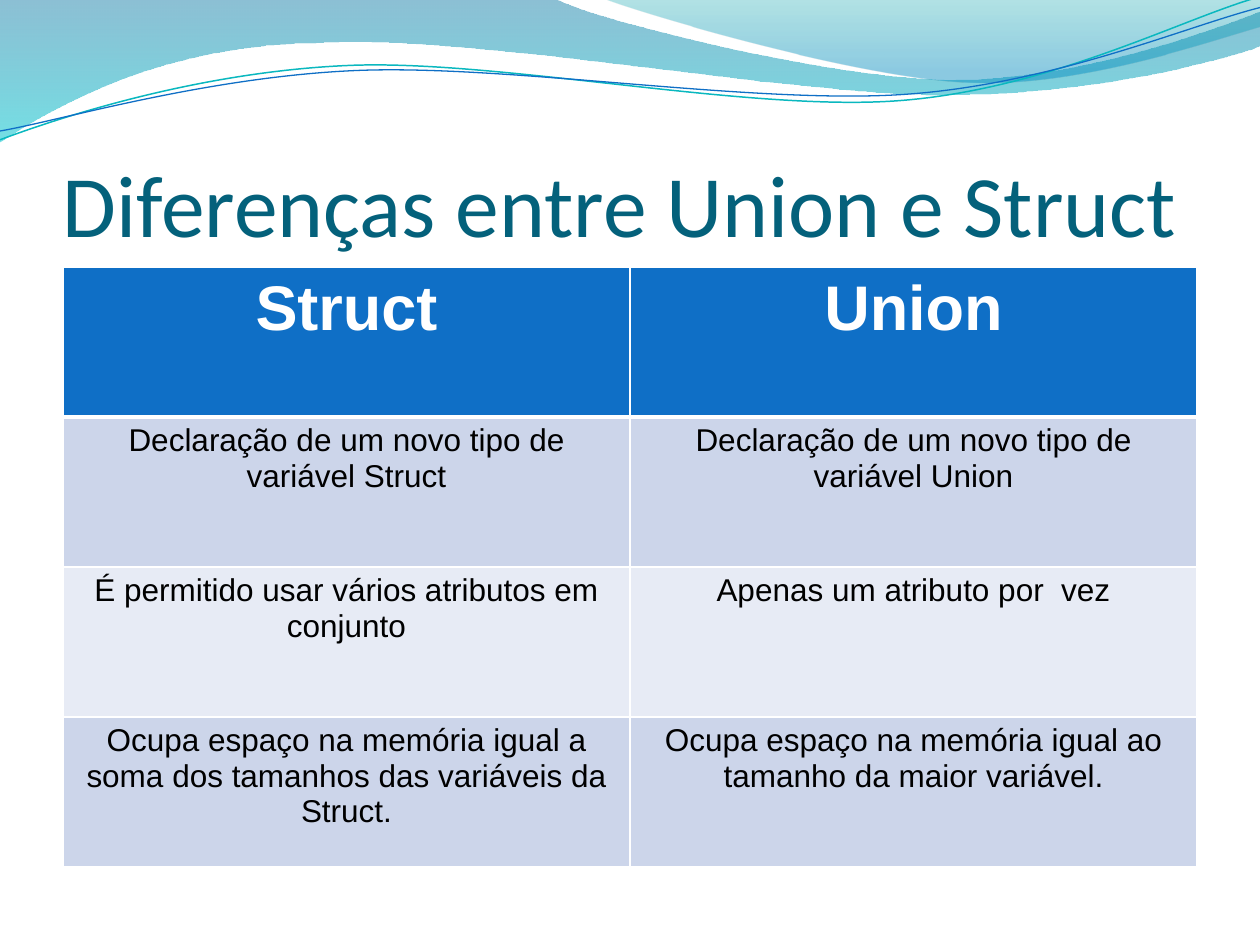
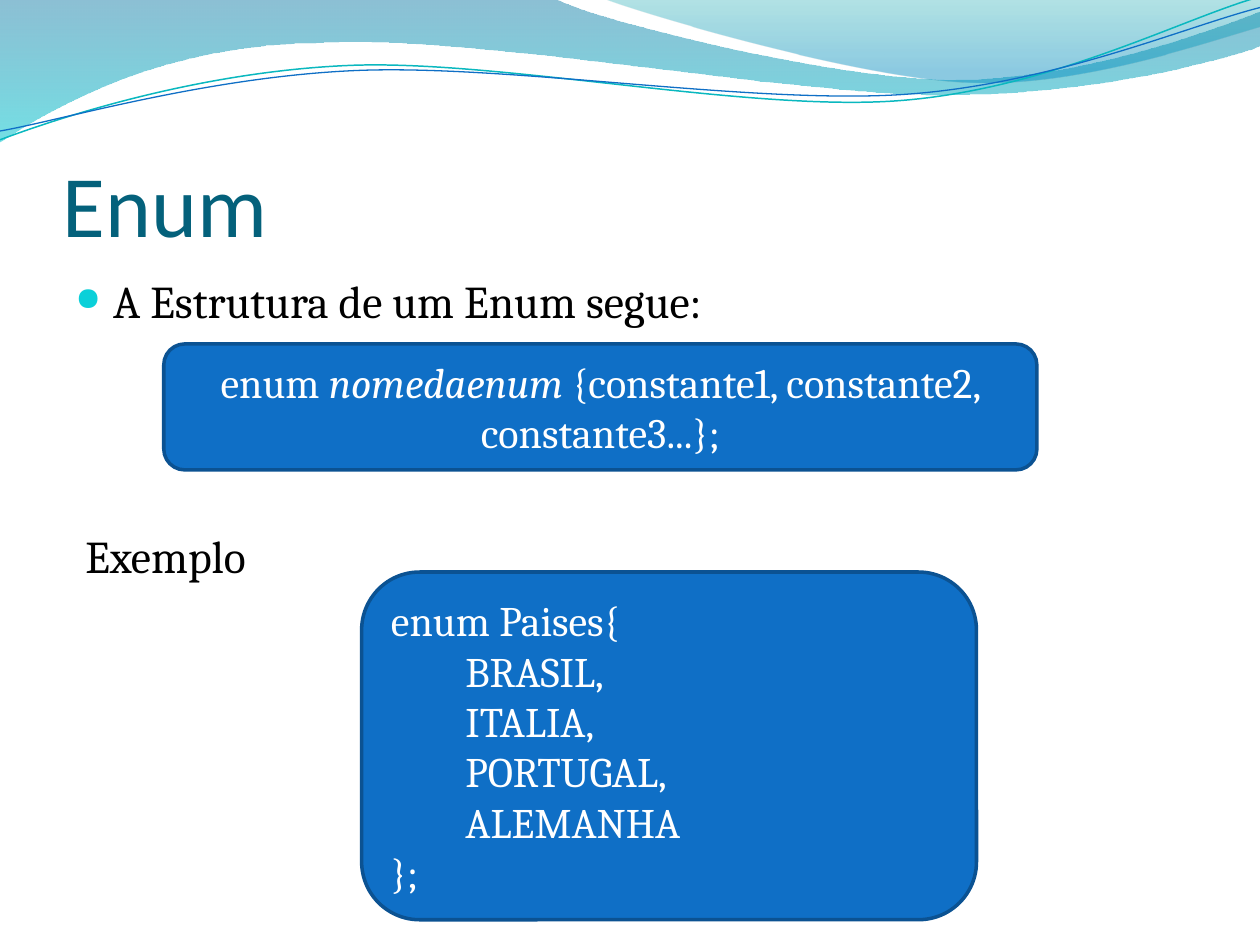
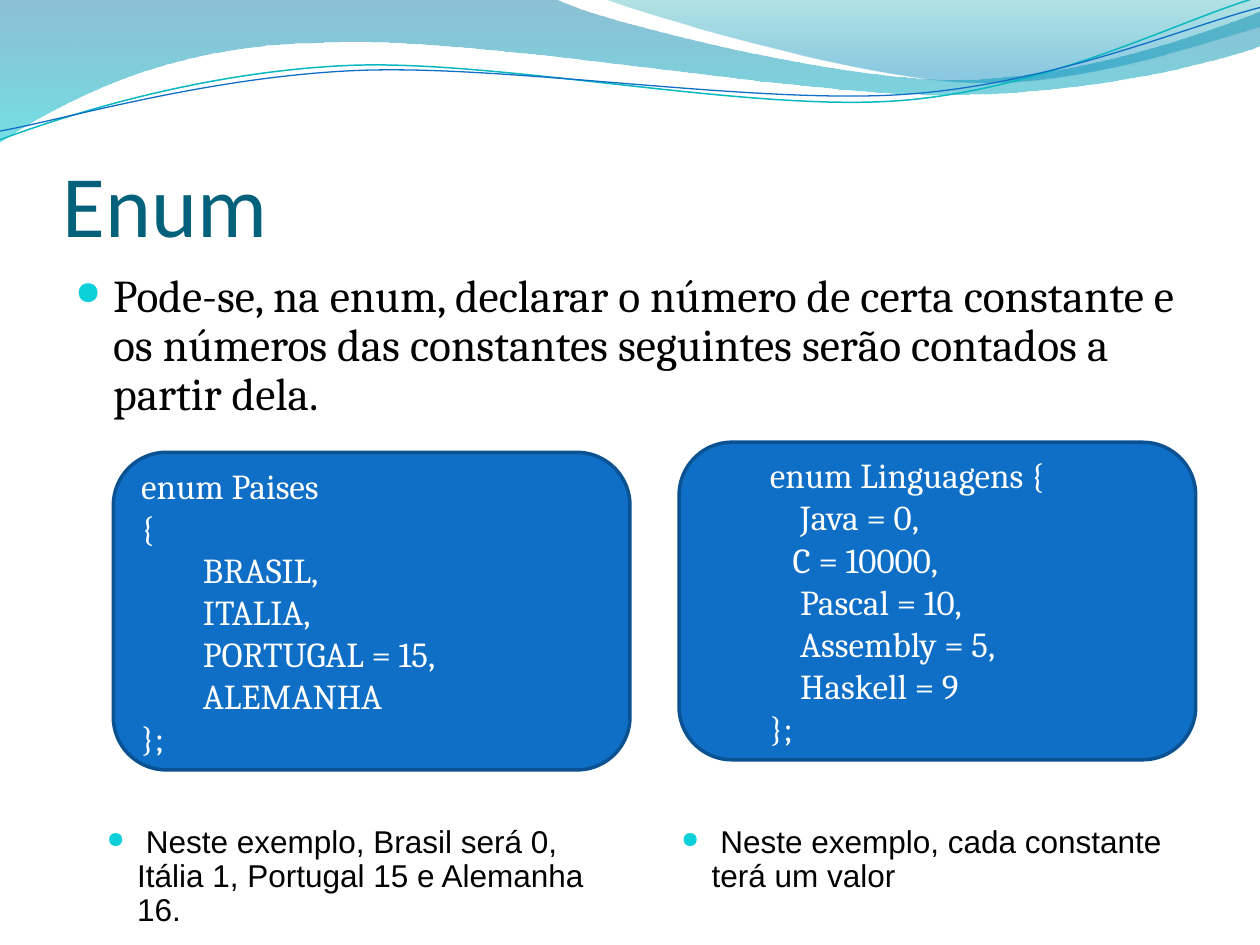
from lxml import etree
from pptx import Presentation
from pptx.dml.color import RGBColor
from pptx.enum.shapes import MSO_SHAPE
from pptx.enum.text import MSO_ANCHOR, PP_ALIGN
from pptx.oxml.ns import qn
from pptx.util import Inches, Pt

ROUNDED = MSO_SHAPE.ROUNDED_RECTANGLE
LEFT, CENTER = PP_ALIGN.LEFT, PP_ALIGN.CENTER
TOP, MIDDLE, BOTTOM = MSO_ANCHOR.TOP, MSO_ANCHOR.MIDDLE, MSO_ANCHOR.BOTTOM

# Shared colours and fonts
WHITE = RGBColor(0xFF, 0xFF, 0xFF)
BLACK = RGBColor(0x00, 0x00, 0x00)
BLUE = RGBColor(0x0F, 0x6F, 0xC6)
DARK_BLUE = RGBColor(0x0B, 0x52, 0x92)
TEAL_LINE = RGBColor(0x0A, 0xB8, 0xBF)
TITLE_TEAL = RGBColor(0x04, 0x61, 0x7B)
BULLET_CYAN = RGBColor(0x0B, 0xD0, 0xD9)
BAND_DARK = RGBColor(0xCC, 0xD5, 0xEA)
BAND_LIGHT = RGBColor(0xE7, 0xEB, 0xF5)
WAVE_DEEP = RGBColor(0x00, 0x74, 0xA1)
WAVE_AQUA = RGBColor(0x00, 0xC6, 0xCF)
WAVE_GREEN = RGBColor(0x00, 0xA1, 0xA9)
WAVE_SKY = RGBColor(0x00, 0x8B, 0xBF)
TITLE_FONT, CODE_FONT, PLAIN_FONT = "Calibri", "Cambria", "Arial"

# Wave outlines: a pair is a straight step, six numbers are a cubic curve
LEFT_WAVE = [
    (0, -0.01), (4.4, -0.01), (4.76, 0.17, 6.64, 0.63, 7.58, 0.63),
    (8.53, 0.63, 9.58, 0.26, 10, 0.09), (10.01, 0.36),
    (9.83, 0.44, 8.7, 0.76, 7.46, 0.75), (6.22, 0.75, 3.82, 0.28, 2.57, 0.34),
    (1.29, 0.35, 0.46, 0.83, -0.01, 1.13), (0, -0.01)]
RIGHT_WAVE = [
    (4.79, -0.01), (5.09, 0.11, 6.82, 0.62, 7.69, 0.65),
    (8.56, 0.69, 9.61, 0.32, 10, 0.21), (10, 0), (4.79, -0.01)]
TEAL_CURVE = [
    (0, 1.11), (0.48, 0.93, 1.58, 0.57, 2.77, 0.52),
    (3.95, 0.47, 5.93, 0.89, 7.13, 0.8), (8.33, 0.71, 9.38, 0.15, 9.98, -0.02)]
BLUE_CURVE = [
    (0, 1.04), (0.47, 0.96, 1.64, 0.61, 2.83, 0.56),
    (4.03, 0.51, 5.97, 0.83, 7.17, 0.75), (8.36, 0.67, 9.41, 0.21, 10, 0.06)]


def add_outline(slide, outline, close):
    """Freeform through all points, whose curve steps become cubic segments."""
    start, *points = [(Inches(step[i]), Inches(step[i + 1]))
                      for step in outline for i in range(0, len(step), 2)]
    builder = slide.shapes.build_freeform(*start)
    builder.add_line_segments(points, close=close)
    shape = builder.convert_to_shape()
    shape.shadow.inherit = False
    segments = iter(list(shape._element.spPr.iter(qn("a:lnTo"))))
    for step in outline[1:]:
        first = next(segments)
        if len(step) == 6:
            curve = etree.Element(qn("a:cubicBezTo"))
            first.addprevious(curve)
            for segment in (first, next(segments), next(segments)):
                curve.append(segment[0])
                segment.getparent().remove(segment)
    return shape


def add_wave(slide, outline, stops):
    """Filled wave; stops holds (position, colour, opacity in percent)."""
    wave = add_outline(slide, outline, True)
    wave.line.fill.background()
    wave.fill.gradient()
    wave.fill.gradient_angle = 270
    for stop, (position, color, _) in zip(wave.fill.gradient_stops, stops):
        stop.position = position
        stop.color.rgb = color
    for color_node, (_, _, opacity) in zip(wave._element.spPr.iter(qn("a:srgbClr")), stops):
        etree.SubElement(color_node, qn("a:alpha"), val=str(opacity * 1000))


def add_curve(slide, outline, color, width):
    curve = add_outline(slide, outline, False)
    curve.fill.background()
    curve.line.color.rgb = color
    curve.line.width = Pt(width)


def style_runs(paragraph, font, size, color, bold=False):
    for run in paragraph.runs:
        run.font.name = font
        run.font.size = Pt(size)
        run.font.color.rgb = color
        run.font.bold = bold


def set_indent(paragraph, margin, first=0):
    props = paragraph._p.get_or_add_pPr()
    props.set("marL", str(Inches(margin)))
    props.set("indent", str(Inches(first)))


def add_bullet(paragraph, hanging):
    set_indent(paragraph, hanging, -hanging)
    props = paragraph._p.get_or_add_pPr()
    color = etree.SubElement(props, qn("a:buClr"))
    etree.SubElement(color, qn("a:srgbClr"), val=str(BULLET_CYAN))
    etree.SubElement(props, qn("a:buSzPct"), val="71000")
    etree.SubElement(props, qn("a:buChar"), char="●")


def add_text_box(slide, left, top, width, height, anchor=TOP):
    frame = slide.shapes.add_textbox(
        Inches(left), Inches(top), Inches(width), Inches(height)).text_frame
    frame.word_wrap = True
    frame.vertical_anchor = anchor
    return frame


def add_bullet_text(slide, box, text, font, size, hanging, line_spacing=1.0):
    frame = add_text_box(slide, *box)
    frame.text = text
    paragraph = frame.paragraphs[0]
    paragraph.space_before = Pt(size * 0.2)
    paragraph.line_spacing = line_spacing
    add_bullet(paragraph, hanging)
    style_runs(paragraph, font, size, BLACK)
    return frame


def add_code_box(slide, box, lines, size, align=LEFT):
    """Rounded code panel; lines holds (indent, text) pairs."""
    panel = slide.shapes.add_shape(ROUNDED, *map(Inches, box))
    panel.shadow.inherit = False
    panel.fill.solid()
    panel.fill.fore_color.rgb = BLUE
    panel.line.color.rgb = DARK_BLUE
    panel.line.width = Pt(2)
    frame = panel.text_frame
    frame.word_wrap = True
    frame.vertical_anchor = MIDDLE
    frame.text = "\n".join(text for _, text in lines)
    for paragraph, (indent, _) in zip(frame.paragraphs, lines):
        paragraph.alignment = align
        set_indent(paragraph, indent)
        style_runs(paragraph, CODE_FONT, size, WHITE)
    return frame


def set_cell_borders(cell, top, bottom):
    props = cell._tc.get_or_add_tcPr()
    for side, width in (("L", 1), ("R", 1), ("T", top), ("B", bottom)):
        line = etree.SubElement(props, qn("a:ln" + side), w=str(Pt(width)))
        fill = etree.SubElement(line, qn("a:solidFill"))
        etree.SubElement(fill, qn("a:srgbClr"), val=str(WHITE))


def add_comparison_table(slide, rows):
    table = slide.shapes.add_table(
        len(rows), len(rows[0]), Inches(0.5), Inches(2.12), Inches(9), Inches(4.76)).table
    for r, row in enumerate(rows):
        header = r == 0
        for c, text in enumerate(row):
            cell = table.cell(r, c)
            set_cell_borders(cell, 3 if r == 1 else 1, 3 if header else 1)
            cell.fill.solid()
            cell.fill.fore_color.rgb = BLUE if header else (BAND_LIGHT, BAND_DARK)[r % 2]
            cell.text_frame.text = text
            paragraph = cell.text_frame.paragraphs[0]
            paragraph.alignment = CENTER
            style_runs(paragraph, PLAIN_FONT, 36 if header else 18,
                       WHITE if header else BLACK, header)


def add_base_slide(prs, title):
    """Blank slide with the wave band and the title."""
    slide = prs.slides.add_slide(prs.slide_layouts[6])
    add_wave(slide, LEFT_WAVE, [(0, WAVE_DEEP, 45), (1, WAVE_AQUA, 55)])
    add_wave(slide, RIGHT_WAVE, [(0, WAVE_GREEN, 30), (0.8, WAVE_SKY, 45)])
    add_curve(slide, TEAL_CURVE, TEAL_LINE, 0.85)
    add_curve(slide, BLUE_CURVE, BLUE, 0.75)
    frame = add_text_box(slide, 0.5, 0.77, 9, 1.25, BOTTOM)
    frame.margin_left = frame.margin_right = frame.margin_bottom = 0
    frame.text = title
    style_runs(frame.paragraphs[0], TITLE_FONT, 50, TITLE_TEAL)
    return slide


def build_differences(prs):
    slide = add_base_slide(prs, "Diferenças entre Union e Struct")
    add_comparison_table(slide, [
        ("Struct", "Union"),
        ("Declaração de um novo tipo de variável Struct",
         "Declaração de um novo tipo de variável Union"),
        ("É permitido usar vários atributos em conjunto",
         "Apenas um atributo por  vez"),
        ("Ocupa espaço na memória igual a soma dos tamanhos das variáveis da Struct.",
         "Ocupa espaço na memória igual ao tamanho da maior variável."),
    ])


def build_enum_syntax(prs):
    slide = add_base_slide(prs, "Enum")
    body = add_bullet_text(slide, (0.5, 2.12, 9, 4.8), "A Estrutura de um Enum segue:",
                           CODE_FONT, 26, 0.3)
    example = body.add_paragraph()
    example.text = "Exemplo"
    example.space_before = Pt(114.5)
    set_indent(example, 0.08)
    style_runs(example, CODE_FONT, 26, BLACK)

    # Syntax panel with the enum name in italics
    syntax = add_code_box(slide, (1.3, 2.73, 6.93, 1), [(0, "enum ")], 24, CENTER)
    paragraph = syntax.paragraphs[0]
    for text in ("nomedaenum ", "{constante1, constante2, constante3...};"):
        paragraph.add_run().text = text
    style_runs(paragraph, CODE_FONT, 24, WHITE)
    paragraph.runs[1].font.italic = True

    countries = ("BRASIL,", "ITALIA,", "PORTUGAL,", "ALEMANHA")
    add_code_box(slide, (2.87, 4.54, 4.88, 2.76),
                 [(0, "enum Paises{"), *((0.59, name) for name in countries), (0, "};")], 24)


def build_enum_values(prs):
    slide = add_base_slide(prs, "Enum")
    add_bullet_text(
        slide, (0.5, 2.12, 9, 4.8),
        "Pode-se, na enum, declarar o número de certa constante e os números das "
        "constantes seguintes serão contados a partir dela.", CODE_FONT, 26, 0.3, 0.9)

    countries = ("BRASIL,", "ITALIA,", "PORTUGAL = 15,", "ALEMANHA")
    add_code_box(slide, (0.9, 3.59, 4.1, 2.52),
                 [(0, "enum Paises"), (0, "{"),
                  *((0.49, name) for name in countries), (0, "};")], 20)
    add_code_box(slide, (5.39, 3.51, 4.1, 2.52),
                 [(0.5, "enum Linguagens {"), (0.74, "Java = 0,"), (0.68, "C = 10000,"),
                  (0.74, "Pascal = 10,"), (0.74, "Assembly = 5,"),
                  (0.74, "Haskell = 9"), (0.5, "};")], 20)

    # Notes below the panels
    notes = (
        (0.75, " Neste exemplo, Brasil será 0, Itália 1, Portugal 15 e Alemanha 16."),
        (5.31, " Neste exemplo, cada constante terá um valor"))
    for left, text in notes:
        add_bullet_text(slide, (left, 6.51, 4.17, 0.64), text, PLAIN_FONT, 18, 0.24, 0.9)


def main():
    prs = Presentation()
    prs.slide_width, prs.slide_height = Inches(10), Inches(7.5)
    build_differences(prs)
    build_enum_syntax(prs)
    build_enum_values(prs)
    prs.save("out.pptx")


if __name__ == "__main__":
    main()
